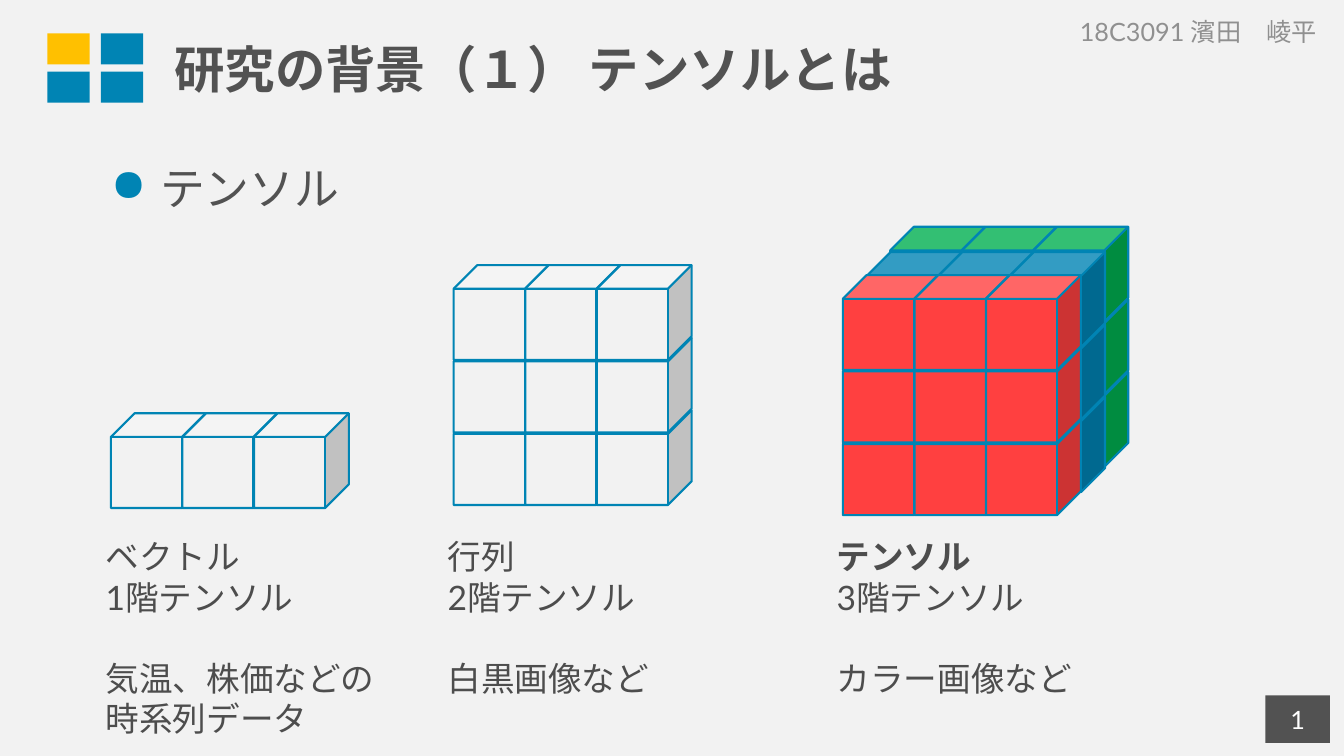
from pptx import Presentation
from pptx.dml.color import RGBColor
from pptx.enum import lang, shapes, text
from pptx.oxml import parse_xml
from pptx.oxml.ns import nsdecls
from pptx.util import Inches, Pt

COLORS = {
    "background": "F2F2F2", "blue": "0084B4", "yellow": "FFC000",
    "green": "00B050", "red": "FF4040", "heading": "525252",
    "caption": "4D4D4D", "author": "909090", "white": "FFFFFF",
}
FONT = "Lato"

prs = Presentation()
prs.slide_width, prs.slide_height = Inches(13.33), Inches(7.5)
slide = prs.slides.add_slide(prs.slide_layouts[6])
slide.background.fill.solid()
slide.background.fill.fore_color.rgb = RGBColor.from_string(COLORS["background"])


def add_block(kind, box, fill, line=None):
    block = slide.shapes.add_shape(kind, *map(Inches, box))
    block.shadow.inherit = False
    block.fill.solid()
    block.fill.fore_color.rgb = RGBColor.from_string(COLORS[fill])
    if line:
        block.line.color.rgb = RGBColor.from_string(COLORS[line])
        block.line.width = Pt(1.5)
    else:
        block.line.fill.background()
    return block


def write(holder, lines, size, color, bold=False, align=text.PP_ALIGN.LEFT,
          anchor=text.MSO_ANCHOR.TOP):
    frame = holder.text_frame
    frame.word_wrap = True
    frame.vertical_anchor = anchor
    for i, line in enumerate(lines):
        paragraph = frame.paragraphs[0] if i == 0 else frame.add_paragraph()
        paragraph.alignment = align
        run = paragraph.add_run()
        run.text = line
        run.font.name, run.font.size, run.font.bold = FONT, Pt(size), bold
        run.font.color.rgb = RGBColor.from_string(COLORS[color])
        run.font.language_id = lang.MSO_LANGUAGE_ID.JAPANESE
    return frame.paragraphs


# Four-tile emblem
for row in range(2):
    for col in range(2):
        add_block(shapes.MSO_SHAPE.RECTANGLE,
                  (0.47 + 0.53 * col, 0.33 + 0.38 * row, 0.42, 0.31),
                  "yellow" if row == col == 0 else "blue")

# Title, author and page number
title = slide.shapes.add_textbox(Inches(1.63), Inches(0.05), Inches(11.7), Inches(1.25))
write(title, ["研究の背景（１） テンソルとは"], 36, "heading", bold=True,
      anchor=text.MSO_ANCHOR.MIDDLE)

author = slide.shapes.add_textbox(Inches(7.69), Inches(0.11), Inches(8.39), Inches(0.4))
write(author, ["18C3091 濱田　崚平"], 18, "author", align=text.PP_ALIGN.CENTER,
      anchor=text.MSO_ANCHOR.MIDDLE)

page_number = add_block(shapes.MSO_SHAPE.RECTANGLE, (12.55, 6.9, 0.64, 0.47), "heading")
write(page_number, ["1"], 18, "white", align=text.PP_ALIGN.CENTER,
      anchor=text.MSO_ANCHOR.MIDDLE)

# Bulleted topic
topic = slide.shapes.add_textbox(Inches(1), Inches(1.55), Inches(12.19), Inches(5.2))
topic_line = write(topic, ["テンソル"], 32, "heading")[0]
bullet = topic_line._p.get_or_add_pPr()
bullet.set("marL", str(Inches(0.49)))
bullet.set("indent", str(Inches(-0.49)))
bullet.append(parse_xml(
    f'<a:buClr {nsdecls("a")}><a:srgbClr val="{COLORS["blue"]}"/></a:buClr>'))
bullet.append(parse_xml(f'<a:buChar {nsdecls("a")} char="●"/>'))

# Cube stacks: left, top, rows, colour; tensor layers run from back to front
stacks = [
    (8.83, 2.25, 3, "green"),
    (8.6, 2.5, 3, "blue"),
    (8.36, 2.73, 3, "red"),
    (4.5, 2.63, 3, "background"),
    (1.1, 4.1, 1, "background"),
]
for left, top, rows, color in stacks:
    for row in reversed(range(rows)):
        for col in range(3):
            add_block(shapes.MSO_SHAPE.CUBE,
                      (left + 0.71 * col, top + 0.72 * row, 0.94, 0.94),
                      color, line="blue")

# Captions: name and order, then examples after a gap
captions = [
    (0.95, 2.12, ["ベクトル", "1階テンソル", "気温、株価などの", "時系列データ"]),
    (4.34, 1.72, ["行列", "2階テンソル", "白黒画像など"]),
    (8.2, 1.72, ["テンソル", "3階テンソル", "カラー画像など"]),
]
for left, height, lines in captions:
    caption = slide.shapes.add_textbox(Inches(left), Inches(5.27), Inches(3.15), Inches(height))
    paragraphs = write(caption, lines, 24, "caption")
    paragraphs[2].space_before = Pt(29)
    paragraphs[0].runs[0].font.bold = lines[0] == "テンソル"

prs.save("out.pptx")
